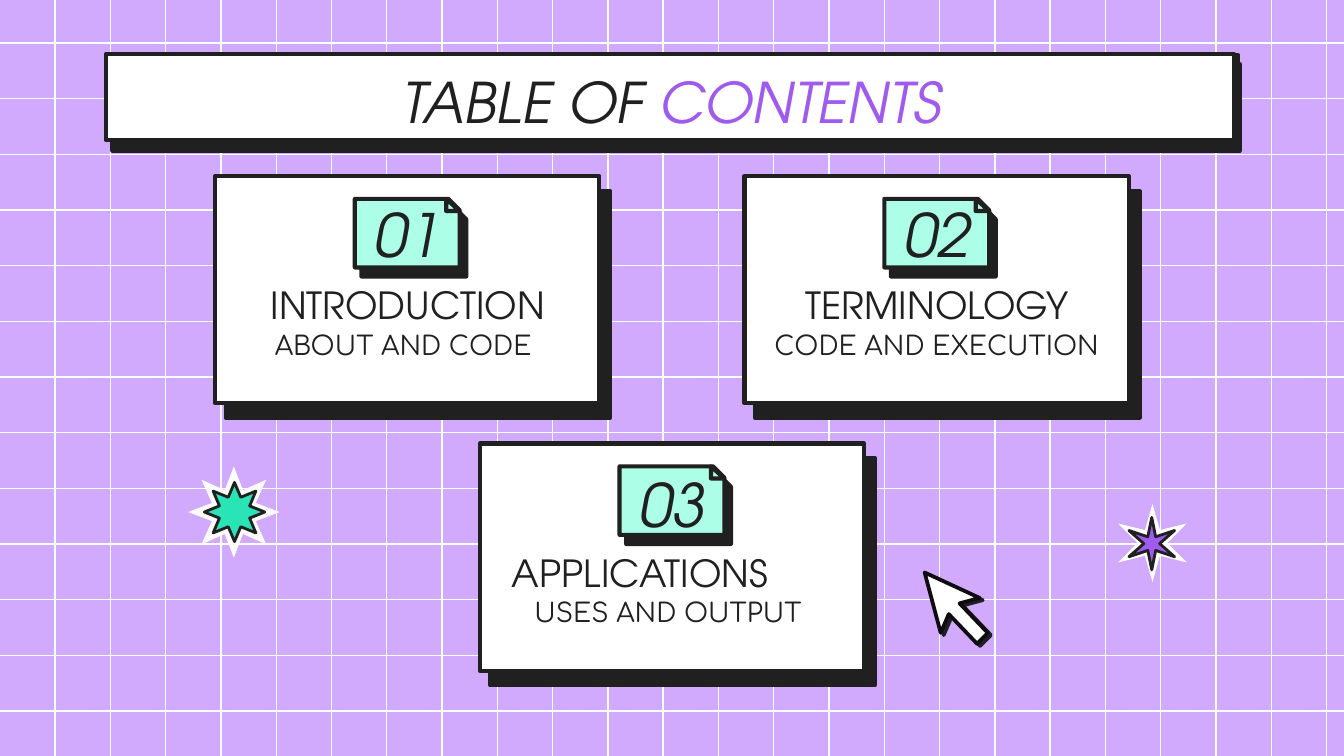
from lxml import etree
from pptx import Presentation
from pptx.dml.color import RGBColor
from pptx.enum.shapes import MSO_CONNECTOR, MSO_SHAPE
from pptx.enum.text import MSO_ANCHOR, PP_ALIGN
from pptx.oxml.ns import qn
from pptx.util import Inches, Pt

RECTANGLE = MSO_SHAPE.RECTANGLE
SNIPPED = MSO_SHAPE.SNIP_1_RECTANGLE
TRIANGLE = MSO_SHAPE.RIGHT_TRIANGLE
STAR_6 = MSO_SHAPE.STAR_6_POINT
STAR_8 = MSO_SHAPE.STAR_8_POINT
STRAIGHT = MSO_CONNECTOR.STRAIGHT
TOP, MIDDLE = MSO_ANCHOR.TOP, MSO_ANCHOR.MIDDLE
LEFT, CENTER = PP_ALIGN.LEFT, PP_ALIGN.CENTER

COLORS = {
    "lilac": "D1AAFD",
    "white": "FFFFFF",
    "ink": "202020",
    "mint": "ADFEE7",
    "purple": "9E5BEE",
    "green": "28E4B7",
    "soft_white": "FCFCFC",
    "black": "0F0C11",
}
FORMATS = {
    "heading": {"name": "TeX Gyre Adventor", "size": Pt(30), "italic": True},
    "number": {"name": "TeX Gyre Adventor", "size": Pt(32), "italic": True},
    "topic": {"name": "TeX Gyre Adventor", "size": Pt(20)},
    "detail": {"name": "Comfortaa", "size": Pt(14)},
}


def style_shape(shape, fill, line=None, width=2.25, shadow=None):
    shape.shadow.inherit = False
    shape.fill.solid()
    shape.fill.fore_color.rgb = RGBColor.from_string(COLORS[fill])
    if line:
        shape.line.color.rgb = RGBColor.from_string(COLORS[line])
        shape.line.width = Pt(width)
        etree.SubElement(shape.line._get_or_add_ln(), qn("a:round"))
    else:
        shape.line.fill.background()
    if shadow:
        distance, angle = shadow
        effects = shape._element.spPr.find(qn("a:effectLst"))
        outer = etree.SubElement(effects, qn("a:outerShdw"), blurRad="0", dist=str(Pt(distance)),
                                 dir=str(angle * 60000), algn="bl", rotWithShape="0")
        etree.SubElement(outer, qn("a:srgbClr"), val=COLORS["ink"])


def add_label(page, place, runs, style, align=CENTER, anchor=TOP):
    box = page.shapes.add_textbox(*map(Inches, place))
    frame = box.text_frame
    frame.word_wrap = True
    frame.vertical_anchor = anchor
    for side in ("left", "right", "top", "bottom"):
        setattr(frame, f"margin_{side}", Inches(0.1))
    para = frame.paragraphs[0]
    para.alignment = align
    for text, color in runs:
        span = para.add_run()
        span.text = text
        for name, value in FORMATS[style].items():
            setattr(span.font, name, value)
        span.font.color.rgb = RGBColor.from_string(COLORS[color])


deck = Presentation()
deck.slide_width, deck.slide_height = Inches(10), Inches(10 * 9 / 16)
page = deck.slides.add_slide(deck.slide_layouts[6])
page.background.fill.solid()
page.background.fill.fore_color.rgb = RGBColor.from_string(COLORS["lilac"])

rows = [0.32 + 4.97 / 12 * index for index in range(13)]
columns = [0.41 + 9.46 / 23 * index for index in range(24)]
grid = [(0, y, 10, y) for y in rows] + [(x, 0, x, 5.63) for x in columns]
for ends in grid:
    grid_line = page.shapes.add_connector(STRAIGHT, *map(Inches, ends))
    grid_line.line.color.rgb = RGBColor.from_string(COLORS["white"])
    grid_line.line.width = Pt(0.75)
    etree.SubElement(grid_line._element.spPr, qn("a:effectLst"))

for place, shadow in (((0.79, 0.41, 8.42, 0.63), None), ((0.79, 0.4, 8.39, 0.64), (6.7, 60))):
    banner = page.shapes.add_shape(RECTANGLE, *map(Inches, place))
    style_shape(banner, "white", "ink", shadow=shadow)
add_label(page, (1.4, 0.4, 7.2, 0.63), [("TABLE OF ", "ink"), ("CONTENTS", "purple")], "heading")

cards = [
    (1.6, 1.31, 1.49, "01", "INTRODUCTION", "ABOUT AND CODE ", CENTER),
    (5.54, 1.31, 1.49, "02", "TERMINOLOGY", "CODE AND EXECUTION", CENTER),
    (3.57, 3.3, 3.5, "03", "APPLICATIONS", "USES AND OUTPUT ", LEFT),
]
card_parts = [
    (RECTANGLE, 0, 0, 2.86, 1.69, "white", (9.7, 54)),
    (SNIPPED, 1.04, 0.17, 0.78, 0.51, "mint", (6, 54)),
    (TRIANGLE, 1.72, 0.17, 0.1, 0.09, "mint", None),
]
for left, top, number_top, number, topic, detail, align in cards:
    for kind, x, y, width, height, fill, shadow in card_parts:
        part = page.shapes.add_shape(kind, *map(Inches, (left + x, top + y, width, height)))
        style_shape(part, fill, "ink", shadow=shadow)
    add_label(page, (left + 1, number_top, 0.87, 0.49), [(number, "ink")], "number", anchor=MIDDLE)
    add_label(page, (left + 0.14, top + 0.69, 2.59, 0.34), [(topic, "ink")], "topic", align)
    add_label(page, (left, top + 1.04, 2.86, 0.53), [(detail, "ink")], "detail")

cursor_points = [(6.88, 4.26), (7, 4.71), (7.06, 4.57), (7.27, 4.79),
                 (7.35, 4.71), (7.14, 4.49), (7.29, 4.45)]
outline = [(Inches(x), Inches(y)) for x, y in cursor_points]
builder = page.shapes.build_freeform(*outline[0])
builder.add_line_segments(outline[1:], close=True)
style_shape(builder.convert_to_shape(), "white", "black", 2, (2, 36))

stars = [
    (STAR_6, (8.32, 3.75, 0.51, 0.58), 0.19, "white", None),
    (STAR_6, (8.4, 3.85, 0.34, 0.39), 0.15, "purple", "ink"),
    (STAR_8, (1.4, 3.47, 0.68, 0.68), 0.26, "soft_white", None),
    (STAR_8, (1.52, 3.59, 0.45, 0.44), 0.27, "green", "ink"),
]
for kind, place, depth, fill, line in stars:
    star = page.shapes.add_shape(kind, *map(Inches, place))
    star.adjustments[0] = depth
    style_shape(star, fill, line, 1.5)

deck.save("out.pptx")
